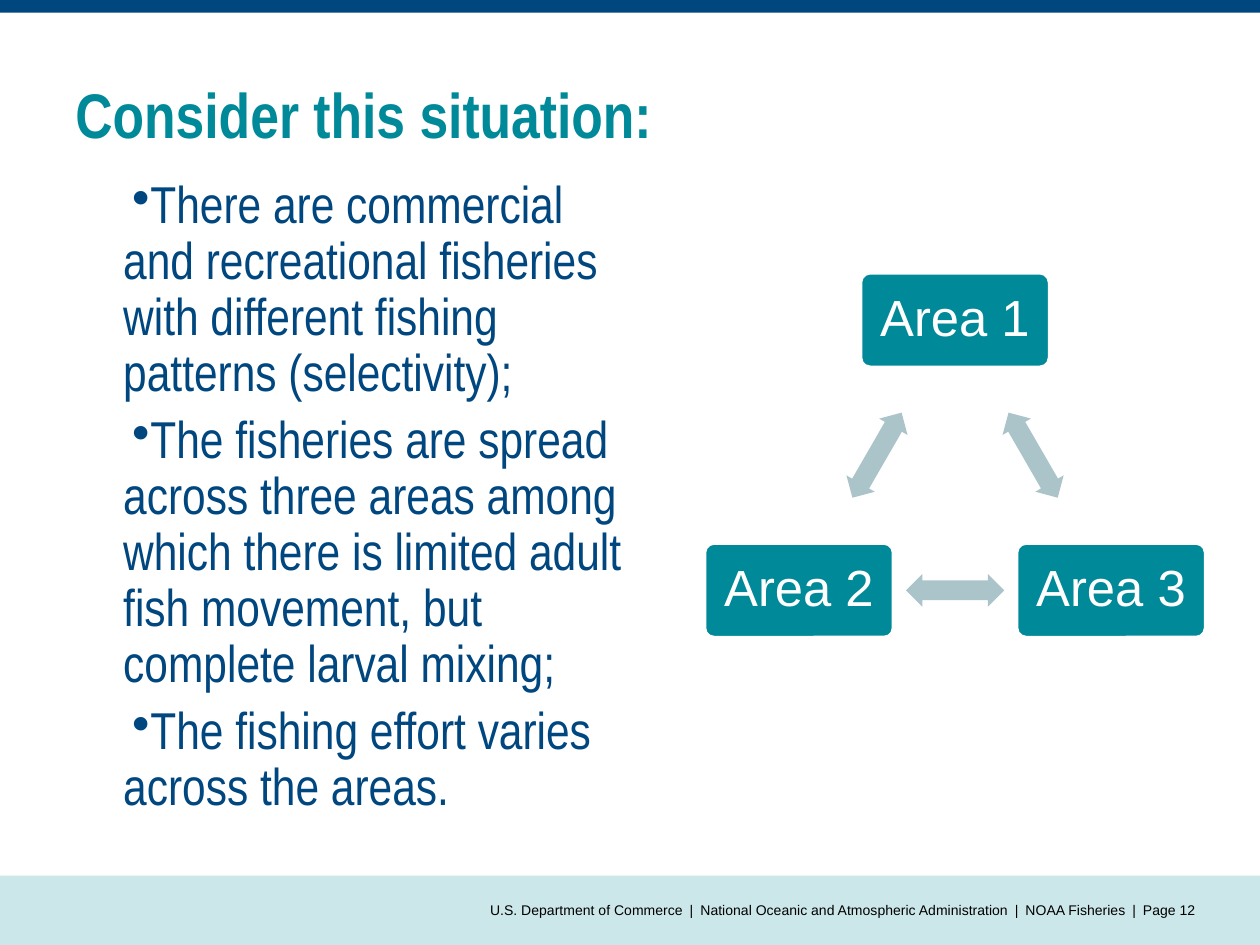
"""Build the slide about fisheries spread across three areas."""
from math import cos, radians, sin

from lxml.etree import SubElement
from pptx import Presentation
from pptx.dml.color import RGBColor
from pptx.enum.shapes import MSO_SHAPE as Shape
from pptx.enum.text import MSO_ANCHOR as Anchor, PP_ALIGN as Align
from pptx.oxml.ns import qn
from pptx.util import Inches, Pt

COLORS = {
    "navy": "00467F",
    "teal": "008998",
    "pale": "CCE7EA",
    "arrow": "ABC4CA",
    "white": "FFFFFF",
    "black": "000000",
}
BULLETS = [
    "There are commercial and recreational fisheries with different fishing patterns (selectivity);",
    "The fisheries are spread across three areas among which there is limited adult fish movement, "
    "but complete larval mixing;",
    "The fishing effort varies across the areas.",
]
FOOTER = "\u2002|\u2002".join([
    "U.S. Department of Commerce",
    "National Oceanic and Atmospheric Administration",
    "NOAA Fisheries",
    "Page 12",
])
AREAS = [("Area 1", -90), ("Area 3", 30), ("Area 2", 150)]
CYCLE_CENTER = (7.58, 3.97)
CYCLE_RADIUS = 1.43
AREA_SIZE = (1.5, 0.75)
ARROW_SIZE = (0.78, 0.26)


def color(name):
    return RGBColor.from_string(COLORS[name])


def add_box(slide, kind, box, fill, line=None):
    shape = slide.shapes.add_shape(kind, *map(Inches, box))
    shape.shadow.inherit = False
    shape.fill.solid()
    shape.fill.fore_color.rgb = color(fill)
    if line:
        shape.line.color.rgb = color(line)
        shape.line.width = Pt(2)
    else:
        shape.line.fill.background()
    return shape


def set_text(shape, lines, size, font, ink, insets, align=Align.LEFT, anchor=Anchor.TOP, bold=False):
    frame = shape.text_frame
    frame.word_wrap = True
    frame.vertical_anchor = anchor
    frame.margin_left = frame.margin_right = Inches(insets[0])
    frame.margin_top = frame.margin_bottom = Inches(insets[1])
    frame.text = "\n".join(lines)
    for paragraph in frame.paragraphs:
        paragraph.alignment = align
        paragraph.font.size = Pt(size)
        paragraph.font.name = font
        paragraph.font.bold = bold
        paragraph.font.color.rgb = color(ink)
    return frame.paragraphs


def add_text(slide, box, *args, **options):
    return set_text(slide.shapes.add_textbox(*map(Inches, box)), *args, **options)


def add_bullet(paragraph):
    paragraph.line_spacing = 0.9
    paragraph.space_before = Pt(6.4)
    properties = paragraph._p.get_or_add_pPr()
    properties.set("marL", str(Inches(0.38)))
    properties.set("indent", str(Inches(0.07)))
    bullet = SubElement(properties, qn("a:buChar"), char="•")
    properties.remove(bullet)
    properties.insert_element_before(bullet, "a:tabLst", "a:defRPr", "a:extLst")


def centered(center, size):
    return (center[0] - size[0] / 2, center[1] - size[1] / 2, *size)


def cycle_point(angle, radius):
    x, y = CYCLE_CENTER
    return x + radius * cos(radians(angle)), y + radius * sin(radians(angle))


def add_area(slide, label, angle):
    box = centered(cycle_point(angle, CYCLE_RADIUS), AREA_SIZE)
    shape = add_box(slide, Shape.ROUNDED_RECTANGLE, box, "teal", "white")
    shape.adjustments[0] = 0.1
    paragraph, = set_text(shape, [label], 29, "Arial", "white", (0.12, 0.12), Align.CENTER, Anchor.MIDDLE)
    paragraph.line_spacing = 0.9


def add_arrow(slide, angle):
    box = centered(cycle_point(angle, CYCLE_RADIUS / 2), ARROW_SIZE)
    shape = add_box(slide, Shape.LEFT_RIGHT_ARROW, box, "arrow")
    shape.adjustments[0] = 0.6
    shape.adjustments[1] = 0.5
    shape.rotation = (angle + 90) % 360


def main():
    presentation = Presentation()
    presentation.slide_width, presentation.slide_height = Inches(10), Inches(7.5)
    slide = presentation.slides.add_slide(presentation.slide_layouts[6])

    add_box(slide, Shape.RECTANGLE, (0, 6.95, 10, 0.55), "pale")
    add_box(slide, Shape.RECTANGLE, (0, 0, 10, 0.1), "navy")
    add_text(slide, (0.5, 0.5, 9, 0.74), ["Consider this situation:"], 36, "Arial Narrow", "teal",
             (0.1, 0.1), bold=True)
    for paragraph in add_text(slide, (0.5, 1.32, 4.67, 5.42), BULLETS, 29.6, "Arial Narrow", "navy", (0.1, 0.1)):
        add_bullet(paragraph)
    add_text(slide, (2.5, 6.95, 7, 0.55), [FOOTER], 8, "Arial", "black", (0, 0.05), Align.RIGHT, Anchor.MIDDLE)

    for label, angle in AREAS:
        add_area(slide, label, angle)
        add_arrow(slide, angle + 60)

    presentation.save("out.pptx")


if __name__ == "__main__":
    main()
